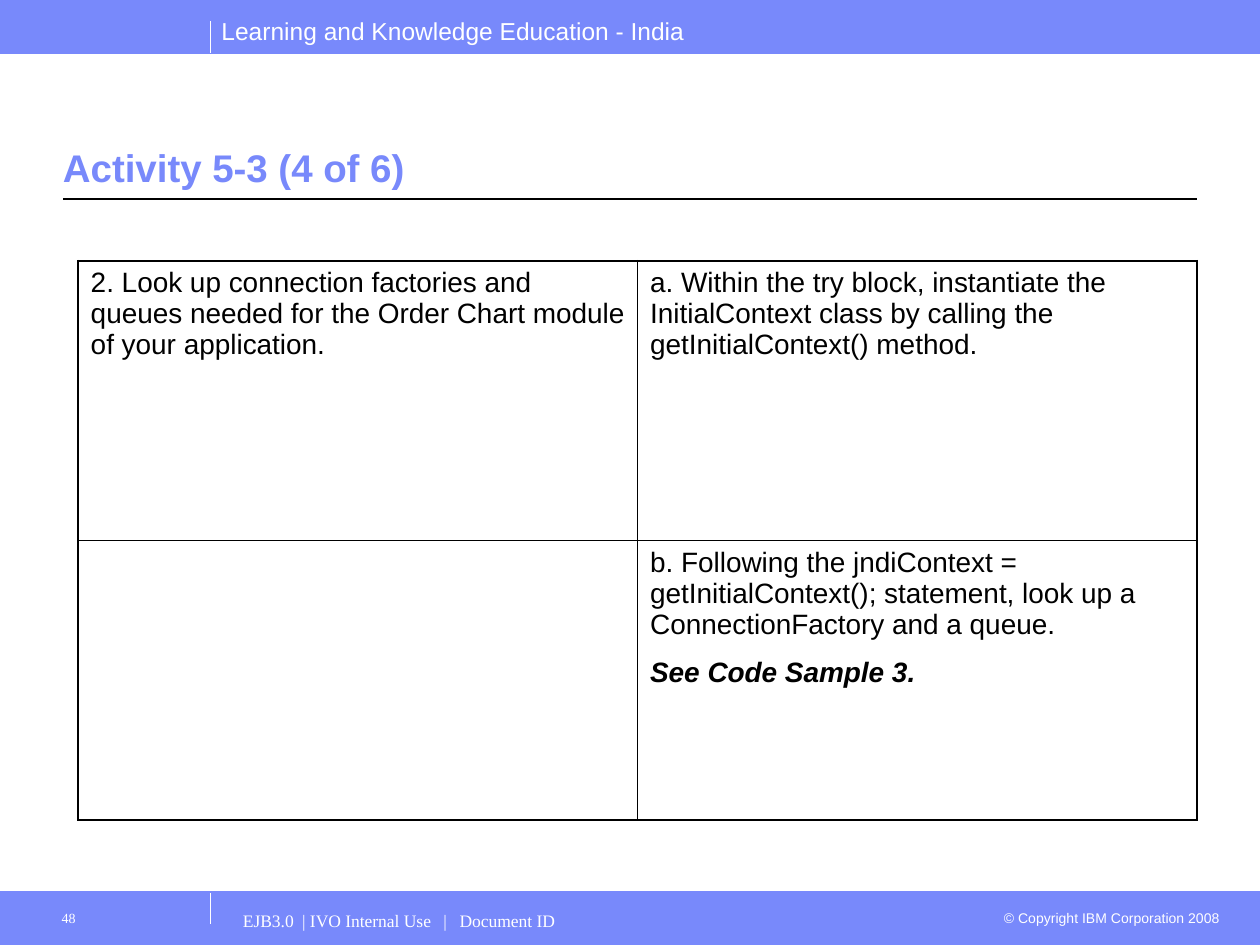
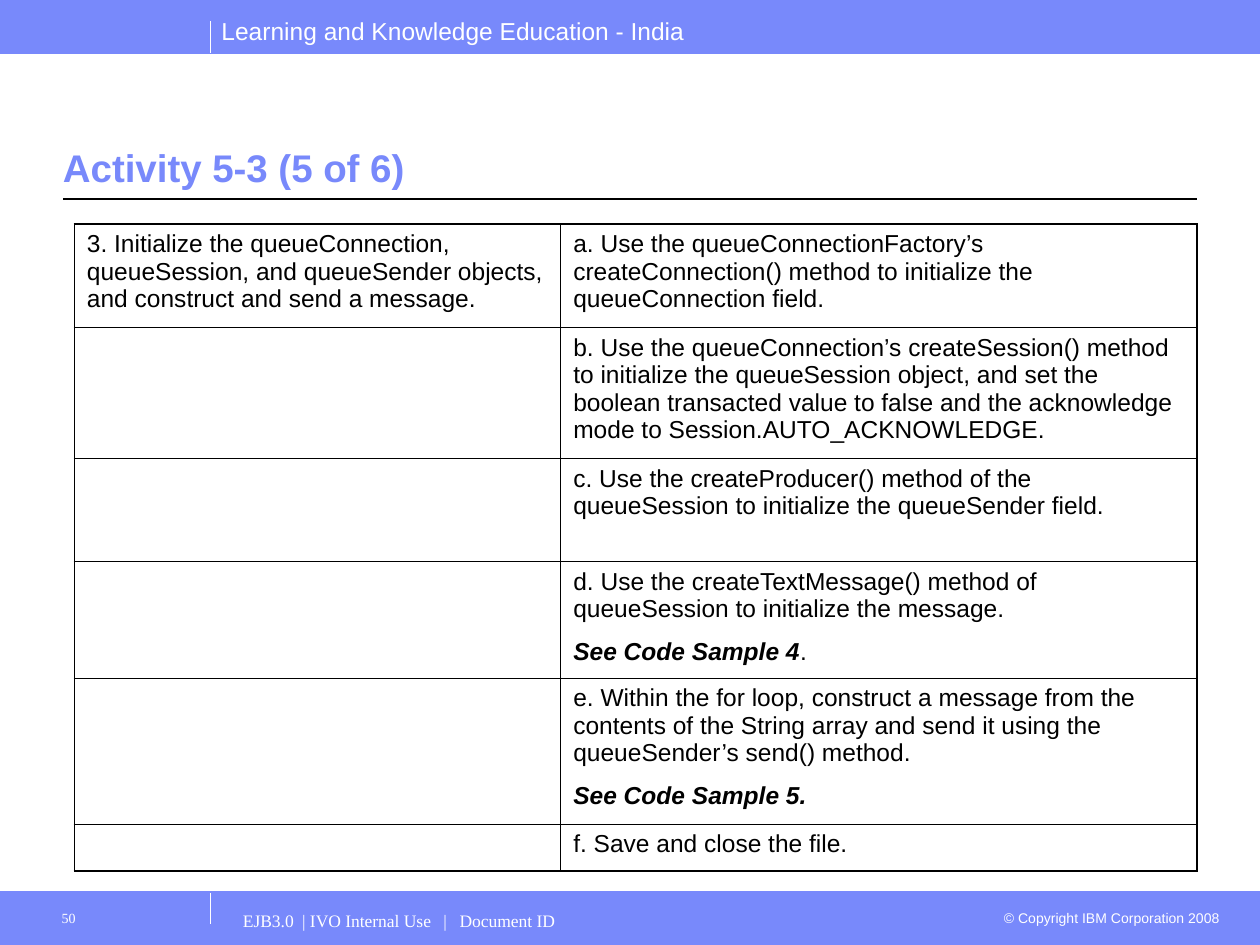
from dataclasses import dataclass
from typing import NamedTuple

from lxml import etree
from pptx import Presentation
from pptx import util as u
from pptx.dml.color import RGBColor
from pptx.enum import shapes, text
from pptx.oxml import ns

# Scale: 100 px to the inch
EMU_PER_PX = 9144

BLUE = RGBColor(0x78, 0x89, 0xFB)
WHITE = RGBColor(0xFF, 0xFF, 0xFF)
BLACK = RGBColor(0, 0, 0)

SANS, SERIF = "Arial", "Times New Roman"
OUTER_BORDER, INNER_BORDER = 1.08, 0.45


class Box(NamedTuple):
    left: int
    top: int
    width: int
    height: int


class Line(NamedTuple):
    start: tuple[int, int]
    end: tuple[int, int]
    color: RGBColor
    points: float


class Part(NamedTuple):
    """A stretch of cell text; emphasis means bold italic."""
    words: str
    emphasis: bool = False


@dataclass(frozen=True)
class Label:
    box: Box
    font: dict
    color: RGBColor = WHITE
    insets: tuple[int, int, int, int] = (10, 5, 10, 5)
    align: text.PP_ALIGN = text.PP_ALIGN.LEFT
    anchor: text.MSO_ANCHOR = text.MSO_ANCHOR.TOP
    tabs: tuple[int, ...] = ()


@dataclass(frozen=True)
class Activity:
    """One slide: a task on the left and its steps on the right."""
    title: str
    number: str
    left: int
    top: int
    columns: tuple[int, int]
    rows: tuple[int, ...]
    size: float
    space_after: float
    task: str
    steps: tuple[list[list[Part]], ...]


# Shared frame
BANDS = [Box(0, 708, 1000, 42), Box(0, 0, 1000, 42)]
LINES = [
    Line((167, 733), (167, 708), WHITE, 0.75),
    Line((0, 42), (1000, 42), BLUE, 0.5),
    Line((0, 708), (1000, 708), BLUE, 0.5),
    Line((50, 158), (950, 158), BLACK, 0.75),
    Line((167, 42), (167, 17), WHITE, 0.75),
]
HEADER = Label(Box(166, 8, 420, 34), {"name": SANS, "size": u.Pt(14)})
COPYRIGHT = Label(Box(783, 717, 195, 24), {"name": SANS, "size": u.Pt(8)},
                  align=text.PP_ALIGN.RIGHT)
TITLE = Label(Box(50, 64, 900, 92), {"name": SANS, "size": u.Pt(22), "bold": True},
              BLUE, (0, 5, 0, 5), anchor=text.MSO_ANCHOR.BOTTOM)
FOOTER = Label(Box(183, 715, 600, 35), {"name": SERIF, "size": u.Pt(10)},
               insets=(10, 7, 10, 5), tabs=(47, 159, 172))
NUMBER = Label(Box(33, 715, 133, 35), {"name": SERIF, "size": u.Pt(8)},
               insets=(16, 7, 10, 5))

# Slide contents
ACTIVITIES = [
    Activity(
        "Activity 5-3 (4 of 6)", "48", 62, 207, (444, 444), (222, 222), 16, 10,
        "2. Look up connection factories and queues needed for the Order Chart "
        "module of your application.",
        (
            [[Part("a. Within the try block, instantiate the InitialContext class "
                   "by calling the getInitialContext() method.")]],
            [[Part("b. Following the jndiContext = getInitialContext(); statement, "
                   "look up a ConnectionFactory and a queue.")],
             [Part("See Code Sample 3.", True)]],
        ),
    ),
    Activity(
        "Activity 5-3 (5 of 6)", "50", 59, 178, (386, 505),
        (82, 104, 82, 92, 116, 37), 14, 8.8,
        "3. Initialize the queueConnection, queueSession, and queueSender objects, "
        "and construct and send a message.",
        (
            [[Part("a. Use the queueConnectionFactory’s createConnection() method "
                   "to initialize the queueConnection field.")]],
            [[Part("b. Use the queueConnection’s createSession() method to "
                   "initialize the queueSession object, and set the boolean "
                   "transacted value to false and the acknowledge mode to "
                   "Session.AUTO_ACKNOWLEDGE.")]],
            [[Part("c. Use the createProducer() method of the queueSession to "
                   "initialize the queueSender field.")]],
            [[Part("d. Use the createTextMessage() method of queueSession to "
                   "initialize the message.")],
             [Part("See Code Sample 4", True), Part(".")]],
            [[Part("e. Within the for loop, construct a message from the contents "
                   "of the String array and send it using the queueSender’s "
                   "send() method.")],
             [Part("See Code Sample 5.", True)]],
            [[Part("f. Save and close the file.")]],
        ),
    ),
]


def px(length: int) -> u.Emu:
    return u.Emu(length * EMU_PER_PX)


def emu(lengths) -> list[u.Emu]:
    return [px(length) for length in lengths]


def apply(target, values: dict) -> None:
    for name, value in values.items():
        setattr(target, name, value)


def set_insets(target, insets) -> None:
    sides = ("margin_left", "margin_top", "margin_right", "margin_bottom")
    apply(target, dict(zip(sides, emu(insets))))


def add_run(paragraph, words: str, font: dict, color: RGBColor) -> None:
    run = paragraph.add_run()
    run.text = words
    apply(run.font, font)
    run.font.color.rgb = color


def add_band(slide, box: Box) -> None:
    shape = slide.shapes.add_shape(shapes.MSO_SHAPE.RECTANGLE, *emu(box))
    shape.shadow.inherit = False
    shape.fill.solid()
    shape.fill.fore_color.rgb = BLUE
    shape.line.color.rgb = BLUE
    shape.line.width = u.Pt(0.75)


def add_line(slide, line: Line) -> None:
    connector = slide.shapes.add_connector(
        shapes.MSO_CONNECTOR.STRAIGHT, *emu(line.start + line.end))
    connector.line.color.rgb = line.color
    connector.line.width = u.Pt(line.points)
    etree.SubElement(connector._element.spPr, ns.qn("a:effectLst"))


def add_label(slide, label: Label, words: str) -> None:
    frame = slide.shapes.add_textbox(*emu(label.box)).text_frame
    apply(frame, {"word_wrap": True, "vertical_anchor": label.anchor})
    set_insets(frame, label.insets)
    paragraph = frame.paragraphs[0]
    paragraph.alignment = label.align
    if label.tabs:
        tab_list = etree.SubElement(paragraph._p.get_or_add_pPr(), ns.qn("a:tabLst"))
        for position in label.tabs:
            etree.SubElement(tab_list, ns.qn("a:tab"), pos=str(px(position)), algn="l")
    add_run(paragraph, words, label.font, label.color)


def set_borders(cell, widths: dict[str, float]) -> None:
    properties = cell._tc.get_or_add_tcPr()
    for side, points in widths.items():
        border = etree.SubElement(properties, ns.qn(f"a:ln{side}"), w=str(u.Pt(points)))
        fill = etree.SubElement(border, ns.qn("a:solidFill"))
        etree.SubElement(fill, ns.qn("a:srgbClr"), val=str(BLACK))


def fill_cell(cell, paragraphs: list[list[Part]], activity: Activity) -> None:
    set_insets(cell, (10, 5, 10, 5))
    frame = cell.text_frame
    font = {"name": SANS, "size": u.Pt(activity.size)}
    for index, parts in enumerate(paragraphs):
        paragraph = frame.add_paragraph() if index else frame.paragraphs[0]
        paragraph.space_after = u.Pt(activity.space_after)
        for part in parts:
            emphasis = {"bold": part.emphasis, "italic": part.emphasis}
            add_run(paragraph, part.words, font | emphasis, BLACK)
    if not paragraphs:
        etree.SubElement(frame.paragraphs[0]._p, ns.qn("a:endParaRPr"),
                         sz=str(round(activity.size * 100)))


def add_steps_table(slide, activity: Activity) -> None:
    box = Box(activity.left, activity.top, sum(activity.columns), sum(activity.rows))
    last_row, last_column = len(activity.rows) - 1, len(activity.columns) - 1
    table = slide.shapes.add_table(last_row + 1, last_column + 1, *emu(box)).table
    apply(table, {"first_row": False, "horz_banding": False})
    for column, width in zip(table.columns, activity.columns):
        column.width = px(width)
    for row_index, height in enumerate(activity.rows):
        table.rows[row_index].height = px(height)
        task = [[Part(activity.task)]] if row_index == 0 else []
        for column_index, content in enumerate((task, activity.steps[row_index])):
            cell = table.cell(row_index, column_index)
            on_edge = {"L": column_index == 0, "R": column_index == last_column,
                       "T": row_index == 0, "B": row_index == last_row}
            set_borders(cell, {side: OUTER_BORDER if outer else INNER_BORDER
                               for side, outer in on_edge.items()})
            cell.fill.background()
            fill_cell(cell, content, activity)


def add_activity(presentation, activity: Activity) -> None:
    slide = presentation.slides.add_slide(presentation.slide_layouts[6])
    # Bands, rules and header
    for band in BANDS:
        add_band(slide, band)
    add_label(slide, HEADER, "Learning and Knowledge Education - India")
    add_label(slide, COPYRIGHT, "© Copyright IBM Corporation 2008")
    for line in LINES:
        add_line(slide, line)
    # Title and table
    add_label(slide, TITLE, activity.title)
    add_steps_table(slide, activity)
    # Footer
    add_label(slide, FOOTER, "EJB3.0\t| IVO Internal Use\t|\tDocument ID")
    add_label(slide, NUMBER, activity.number)


def main() -> None:
    presentation = Presentation()
    apply(presentation, {"slide_width": px(1000), "slide_height": px(750)})
    for activity in ACTIVITIES:
        add_activity(presentation, activity)
    presentation.save("out.pptx")


if __name__ == "__main__":
    main()
